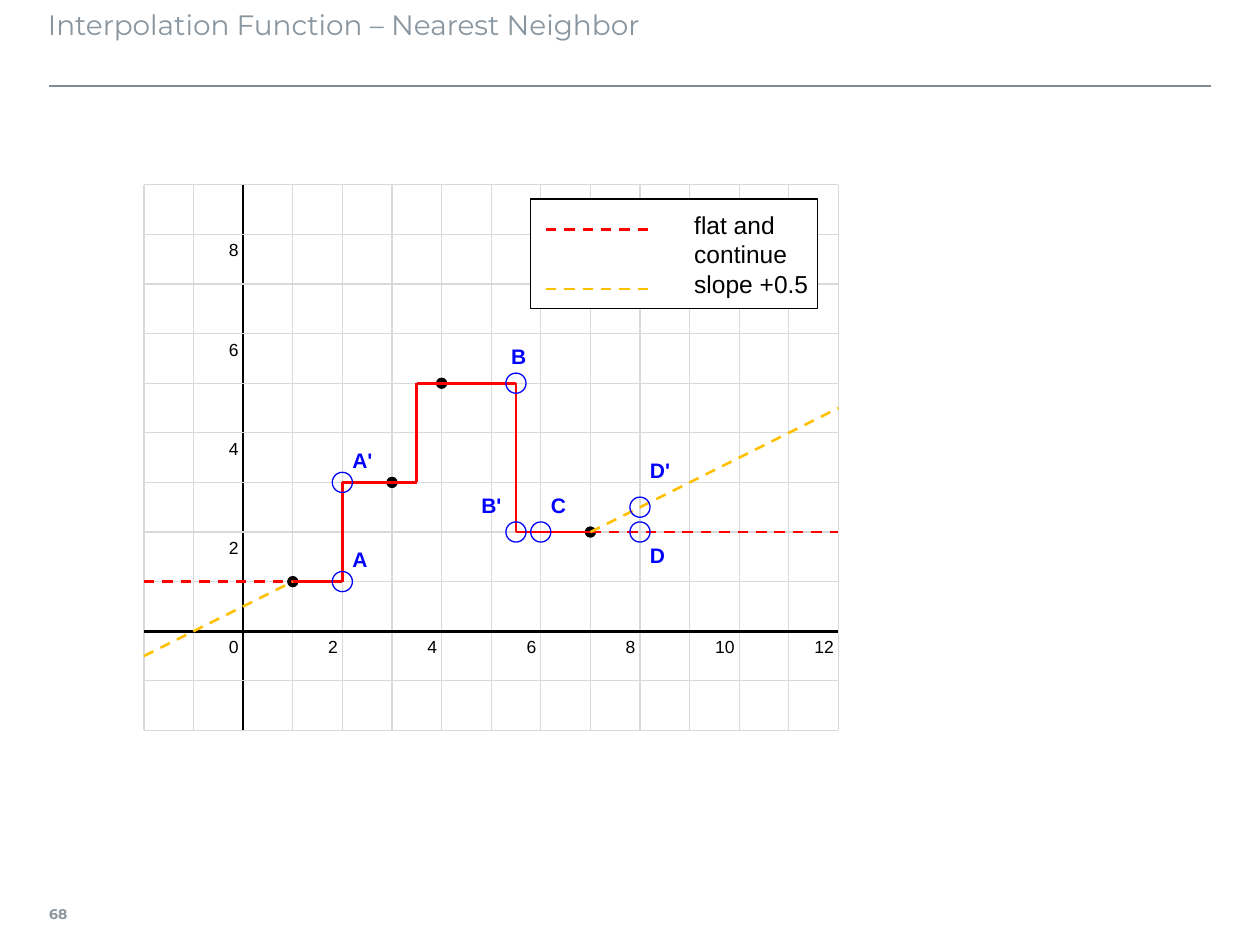
from lxml.etree import SubElement
from pptx import Presentation
from pptx.dml.color import RGBColor
from pptx.enum.dml import MSO_LINE
from pptx.enum.shapes import MSO_CONNECTOR, MSO_SHAPE
from pptx.enum.text import MSO_ANCHOR, PP_ALIGN
from pptx.oxml.ns import qn
from pptx.util import Inches, Pt

BLACK = RGBColor(0x00, 0x00, 0x00)
WHITE = RGBColor(0xFF, 0xFF, 0xFF)
GRID_GRAY = RGBColor(0xD9, 0xD9, 0xD9)
RULE_GRAY = RGBColor(0x80, 0x8D, 0x97)
TITLE_GRAY = RGBColor(0x89, 0x96, 0xA0)
RED = RGBColor(0xFF, 0x00, 0x00)
ORANGE = RGBColor(0xFF, 0xC0, 0x00)
BLUE = RGBColor(0x00, 0x00, 0xFF)

# The plot has one unit per centimetre; its origin is given in inches.
UNIT = 1 / 2.54
ORIGIN_X, ORIGIN_Y = 1.93, 5.01
X_MIN, X_MAX = -2, 12
Y_MIN, Y_MAX = -2, 9

presentation = Presentation()
presentation.slide_width = Inches(10)
presentation.slide_height = Inches(7.5)
slide = presentation.slides.add_slide(presentation.slide_layouts[5])
shapes = slide.shapes


def add_line(start, end, color, width=1.5, dashed=False):
    """Draw a line between two points given in plot units."""
    (x1, y1), (x2, y2) = start, end
    line = shapes.add_connector(
        MSO_CONNECTOR.STRAIGHT,
        Inches(ORIGIN_X + x1 * UNIT), Inches(ORIGIN_Y - y1 * UNIT),
        Inches(ORIGIN_X + x2 * UNIT), Inches(ORIGIN_Y - y2 * UNIT))
    line.line.color.rgb = color
    line.line.width = Pt(width)
    if dashed:
        line.line.dash_style = MSO_LINE.DASH
    SubElement(line._element.spPr, qn("a:effectLst"))


def add_label(text, x, y, size, color, bold=False):
    """Write a label whose top left corner is given in plot units."""
    box = shapes.add_textbox(Inches(ORIGIN_X + x * UNIT), Inches(ORIGIN_Y - y * UNIT),
                             Inches(0.24), Inches(0.31))
    frame = box.text_frame
    frame.word_wrap = False
    frame.margin_left = frame.margin_right = Inches(0.04)
    frame.margin_top = frame.margin_bottom = Inches(0.04)
    frame.text = text
    paragraph = frame.paragraphs[0]
    paragraph.alignment = PP_ALIGN.RIGHT
    font = paragraph.runs[0].font
    font.name, font.size, font.bold = "Arial", Pt(size), bold
    font.color.rgb = color


# Title, rule and page number
title = shapes.title
title.left, title.top = Inches(0.38), Inches(0.01)
title.width, title.height = Inches(9.21), Inches(0.63)
title.text_frame.text = "Interpolation Function – Nearest Neighbor"
title.text_frame.vertical_anchor = MSO_ANCHOR.TOP
title.text_frame.margin_left = 0

page_number = shapes.add_textbox(Inches(0.39), Inches(7.06), Inches(0.35), Inches(0.39))
page_number.text_frame.text = "68"
page_number.text_frame.word_wrap = False
page_number.text_frame.vertical_anchor = MSO_ANCHOR.MIDDLE
page_number.text_frame.margin_left = 0

for shape, size, bold in ((title, 16, False), (page_number, 8, True)):
    paragraph = shape.text_frame.paragraphs[0]
    paragraph.alignment = PP_ALIGN.LEFT
    font = paragraph.runs[0].font
    font.name, font.size, font.bold = "Montserrat", Pt(size), bold
    font.color.rgb = TITLE_GRAY

rule = shapes.add_connector(MSO_CONNECTOR.STRAIGHT, Inches(0.39), Inches(0.68),
                            Inches(9.61), Inches(0.68))
rule.line.color.rgb = RULE_GRAY
rule.line.width = Pt(1)
SubElement(rule._element.spPr, qn("a:effectLst"))

# Grid, with the axes in black
for x in range(X_MIN, X_MAX + 1):
    color, width = (GRID_GRAY, 0.75) if x else (BLACK, 1.5)
    add_line((x, Y_MAX), (x, Y_MIN), color, width)
for y in range(Y_MIN, Y_MAX + 1):
    color, width = (GRID_GRAY, 0.75) if y else (BLACK, 1.5)
    add_line((X_MIN, y), (X_MAX, y), color, width)

for value in range(0, X_MAX + 1, 2):
    add_label(str(value), value - 0.6, 0, 10, BLACK)
for value in range(2, Y_MAX, 2):
    add_label(str(value), -0.6, value, 10, BLACK)

# Sample points, lines through them, and evaluated points
samples = [(1, 1), (3, 3), (4, 5), (7, 2)]
evaluated = [(2, 1), (2, 3), (5.5, 5), (5.5, 2), (6, 2), (8, 2), (8, 2.5)]
steps = [(1, 1), (2, 1), (2, 3), (3, 3), (3.5, 3), (3.5, 5), (4, 5),
         (5.5, 5), (5.5, 2), (7, 2)]

for points, diameter, color in ((samples, 0.08, BLACK), (evaluated, 0.16, BLUE)):
    if points is evaluated:
        for start, end in zip(steps, steps[1:]):
            add_line(start, end, RED)
        add_line((X_MIN, 1), (1, 1), RED, dashed=True)
        add_line((7, 2), (X_MAX, 2), RED, dashed=True)
        add_line((X_MIN, -0.5), (1, 1), ORANGE, dashed=True)
        add_line((7, 2), (X_MAX, 4.5), ORANGE, dashed=True)
    for x, y in points:
        circle = shapes.add_shape(
            MSO_SHAPE.OVAL,
            Inches(ORIGIN_X + x * UNIT - diameter / 2),
            Inches(ORIGIN_Y - y * UNIT - diameter / 2),
            Inches(diameter), Inches(diameter))
        circle.shadow.inherit = False
        circle.line.color.rgb = color
        circle.line.width = Pt(0.75)
        if points is samples:
            circle.fill.solid()
            circle.fill.fore_color.rgb = color
        else:
            circle.fill.background()

for name, x, y in (("A", 2, 1.8), ("A'", 2.1, 3.8), ("B", 5.2, 5.9), ("B'", 4.7, 2.9),
                   ("C", 6, 2.9), ("D", 8, 1.9), ("D'", 8.1, 3.6)):
    add_label(name, x, y, 12, BLUE, bold=True)

# Legend
legend = shapes.add_shape(MSO_SHAPE.RECTANGLE, Inches(4.21), Inches(1.58),
                          Inches(2.28), Inches(0.87))
legend.shadow.inherit = False
legend.fill.solid()
legend.fill.fore_color.rgb = WHITE
legend.line.color.rgb = BLACK
legend.line.width = Pt(0.75)
frame = legend.text_frame
frame.word_wrap = False
frame.vertical_anchor = MSO_ANCHOR.MIDDLE
frame.margin_left = Inches(1.3)
frame.margin_right = frame.margin_top = frame.margin_bottom = Inches(0.04)
frame.text = "flat and\ncontinue\nslope +0.5"
for paragraph in frame.paragraphs:
    paragraph.alignment = PP_ALIGN.LEFT
    font = paragraph.runs[0].font
    font.name, font.size = "Arial", Pt(14)
    font.color.rgb = BLACK
add_line((6.1, 8.1), (8.2, 8.1), RED, dashed=True)
add_line((6.1, 6.9), (8.2, 6.9), ORANGE, dashed=True)

presentation.save("out.pptx")
